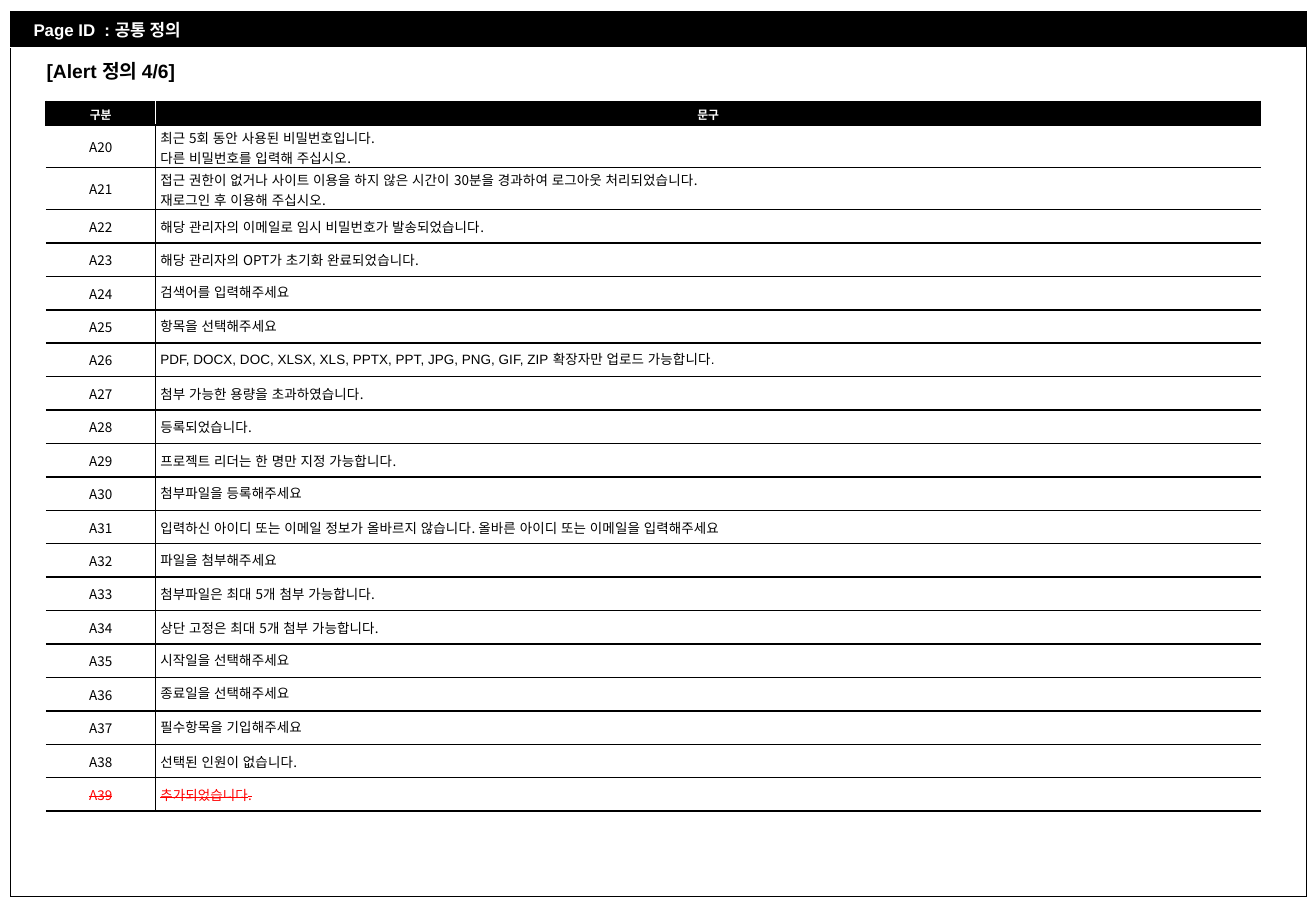
from dataclasses import dataclass

from lxml.etree import SubElement
from pptx import Presentation
from pptx.dml.color import RGBColor
from pptx.enum.text import MSO_ANCHOR as Anchor, MSO_AUTO_SIZE as AutoSize, PP_ALIGN as Align
from pptx.oxml.ns import qn
from pptx.table import Table, _Cell as Cell
from pptx.text.text import TextFrame
from pptx.util import Pt

BLACK, WHITE, RED = "000000", "FFFFFF", "FF0000"
KOREAN, LATIN = "Noto Sans CJK KR", "Arial"
NO_STYLE = "{2D5ABB26-0587-4C30-8999-92F81FD0307C}"
HEADER_HEIGHT, ONE_LINE_HEIGHT, TWO_LINE_HEIGHT = 14.2, 19.84, 24.9


@dataclass(frozen=True)
class Alert:
    message: str
    font: str = KOREAN
    color: str = BLACK
    strike: bool = False

    @property
    def two_lines(self) -> bool:
        return "\n" in self.message


FIRST_ALERT = 20
ALERTS = [
    Alert("최근 5회 동안 사용된 비밀번호입니다.\n다른 비밀번호를 입력해 주십시오."),
    Alert("접근 권한이 없거나 사이트 이용을 하지 않은 시간이 30분을 경과하여 로그아웃 처리되었습니다.\n"
          "재로그인 후 이용해 주십시오."),
    Alert("해당 관리자의 이메일로 임시 비밀번호가 발송되었습니다."),
    Alert("해당 관리자의 OPT가 초기화 완료되었습니다."),
    Alert("검색어를 입력해주세요"),
    Alert("항목을 선택해주세요"),
    Alert("PDF, DOCX, DOC, XLSX, XLS, PPTX, PPT, JPG, PNG, GIF, ZIP 확장자만 업로드 가능합니다.", LATIN),
    Alert("첨부 가능한 용량을 초과하였습니다."),
    Alert("등록되었습니다."),
    Alert("프로젝트 리더는 한 명만 지정 가능합니다."),
    Alert("첨부파일을 등록해주세요"),
    Alert("입력하신 아이디 또는 이메일 정보가 올바르지 않습니다. 올바른 아이디 또는 이메일을 입력해주세요"),
    Alert("파일을 첨부해주세요"),
    Alert("첨부파일은 최대 5개 첨부 가능합니다."),
    Alert("상단 고정은 최대 5개 첨부 가능합니다."),
    Alert("시작일을 선택해주세요"),
    Alert("종료일을 선택해주세요"),
    Alert("필수항목을 기입해주세요"),
    Alert("선택된 인원이 없습니다."),
    Alert("추가되었습니다.", color=RED, strike=True),
]


def rgb(color: str) -> RGBColor:
    return RGBColor.from_string(color)


def write(frame: TextFrame, text: str, *, size: float, font: str = KOREAN, asian_font: str = KOREAN,
          color: str = BLACK, bold: bool = False, strike: bool = False,
          align: Align = Align.LEFT) -> None:
    frame.text = text
    for paragraph in frame.paragraphs:
        paragraph.alignment = align
        for run in paragraph.runs:
            run.font.size = Pt(size)
            run.font.bold = bold
            run.font.name = font
            run.font.color.rgb = rgb(color)
            properties = run.font._element
            SubElement(properties, qn("a:ea"), typeface=asian_font)
            if strike:
                properties.set("strike", "sngStrike")


def format_cell(cell: Cell, borders: dict[str, str], *, width: float = 1, fill: str | None = None,
                top: float = 2.83, bottom: float = 2.83) -> None:
    """Borders map the sides L, R, T and B, in that order, to colours."""
    cell.vertical_anchor = Anchor.MIDDLE
    cell.margin_left = cell.margin_right = Pt(2.83)
    cell.margin_top, cell.margin_bottom = Pt(top), Pt(bottom)
    properties = cell._tc.get_or_add_tcPr()
    for side, color in borders.items():
        line = SubElement(properties, qn(f"a:ln{side}"), w=str(Pt(width)))
        SubElement(SubElement(line, qn("a:solidFill")), qn("a:srgbClr"), val=color)
    if fill:
        cell.fill.solid()
        cell.fill.fore_color.rgb = rgb(fill)


def add_plain_table(slide, left: float, top: float, columns: list[float],
                    rows: list[float]) -> Table:
    table = slide.shapes.add_table(len(rows), len(columns), Pt(left), Pt(top),
                                   Pt(sum(columns)), Pt(sum(rows))).table
    table.horz_banding = table.first_row = False
    table._tbl.tblPr.find(qn("a:tableStyleId")).text = NO_STYLE
    for column, width in zip(table.columns, columns):
        column.width = Pt(width)
    for row, height in zip(table.rows, rows):
        row.height = Pt(height)
    return table


def add_page_frame(slide) -> None:
    table = add_plain_table(slide, 6.1, 6.5, [768], [21.5, 503.5])
    header, body = table.cell(0, 0), table.cell(1, 0)
    format_cell(header, dict(L=BLACK, R=BLACK, T=BLACK, B=WHITE), width=0.25, fill=BLACK,
                top=3.5, bottom=3.5)
    format_cell(body, dict(L=BLACK, R=BLACK, T=WHITE, B=BLACK), width=0.25)
    header.margin_left = Pt(13.8)
    write(header.text_frame, "Page ID  : 공통 정의", size=10, font=LATIN, color=WHITE, bold=True)


def add_title(slide) -> None:
    title = slide.shapes.title
    title.left, title.top, title.width, title.height = Pt(20.4), Pt(31.7), Pt(98.6), Pt(20.9)
    frame = title.text_frame
    frame.word_wrap = False
    frame.auto_size = AutoSize.NONE
    frame.vertical_anchor = Anchor.MIDDLE
    write(frame, "[Alert 정의 4/6]", size=11.4, font=LATIN, bold=True)


def add_alert_table(slide) -> None:
    heights = [TWO_LINE_HEIGHT if alert.two_lines else ONE_LINE_HEIGHT for alert in ALERTS]
    table = add_plain_table(slide, 27.2, 60, [65, 655], [HEADER_HEIGHT] + heights)
    header_borders = [dict(L=BLACK, R=WHITE, T=BLACK, B=BLACK), dict(L=WHITE, R=BLACK, T=BLACK, B=BLACK)]
    body_borders = [dict(R=BLACK, T=BLACK, B=BLACK), dict(L=BLACK, T=BLACK, B=BLACK)]
    for column, heading in enumerate(["구분", "문구"]):
        cell = table.cell(0, column)
        format_cell(cell, header_borders[column], fill=BLACK, bottom=1)
        write(cell.text_frame, heading, size=7, color=WHITE, bold=True, align=Align.CENTER)
    for row, alert in enumerate(ALERTS, start=1):
        code, message = table.cell(row, 0), table.cell(row, 1)
        format_cell(code, body_borders[0], fill=WHITE)
        if alert.two_lines:
            format_cell(message, body_borders[1], fill=WHITE, top=1.7, bottom=0)
        else:
            format_cell(message, body_borders[1], fill=WHITE)
        write(code.text_frame, f"A{FIRST_ALERT + row - 1}", size=8, color=alert.color,
              strike=alert.strike, align=Align.CENTER)
        write(message.text_frame, alert.message, size=8, font=alert.font, asian_font=LATIN,
              color=alert.color, strike=alert.strike)


def main() -> None:
    presentation = Presentation()
    presentation.slide_width, presentation.slide_height = Pt(780), Pt(540)
    slide = presentation.slides.add_slide(presentation.slide_layouts[5])
    add_page_frame(slide)
    add_title(slide)
    add_alert_table(slide)
    presentation.save("out.pptx")


if __name__ == "__main__":
    main()
